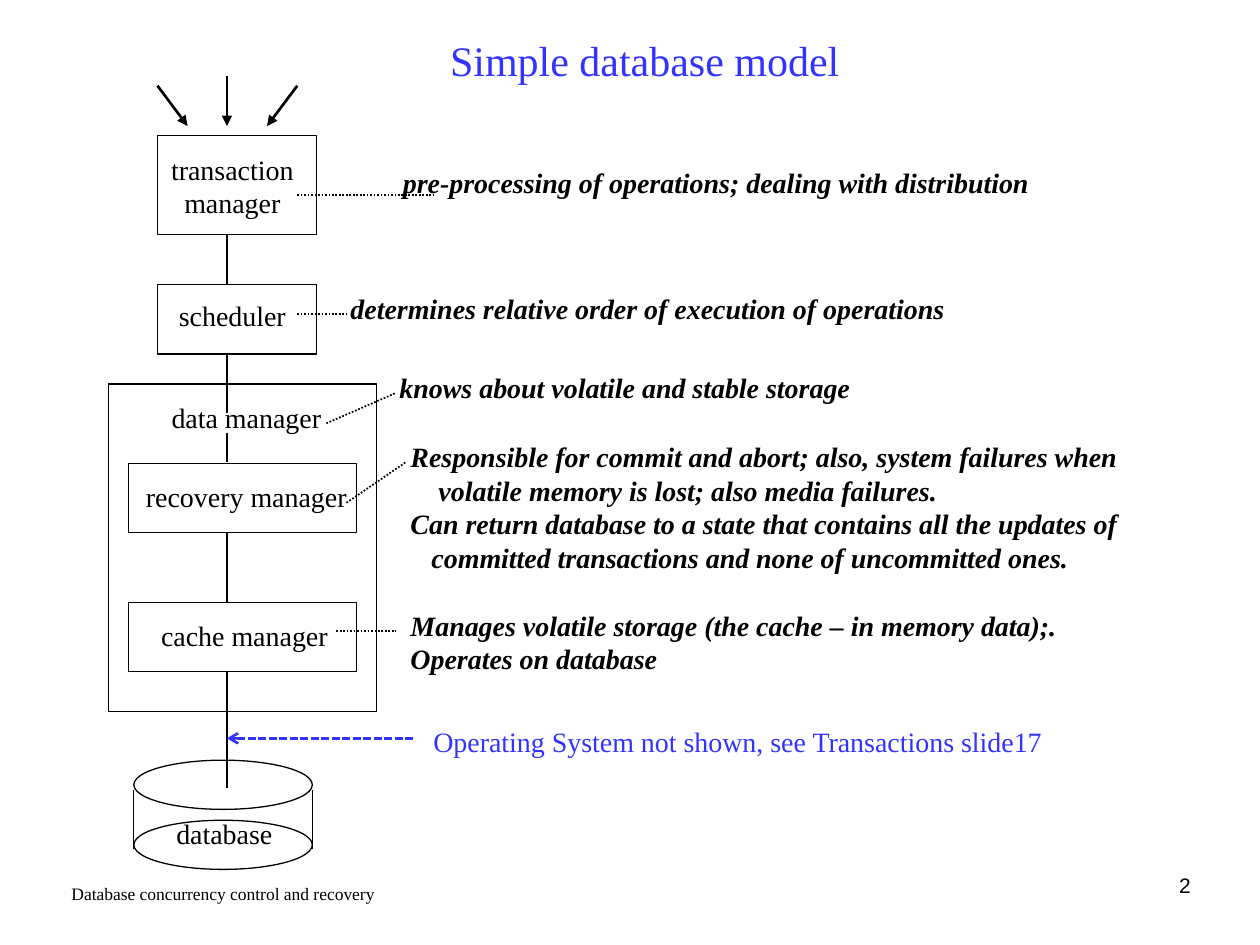
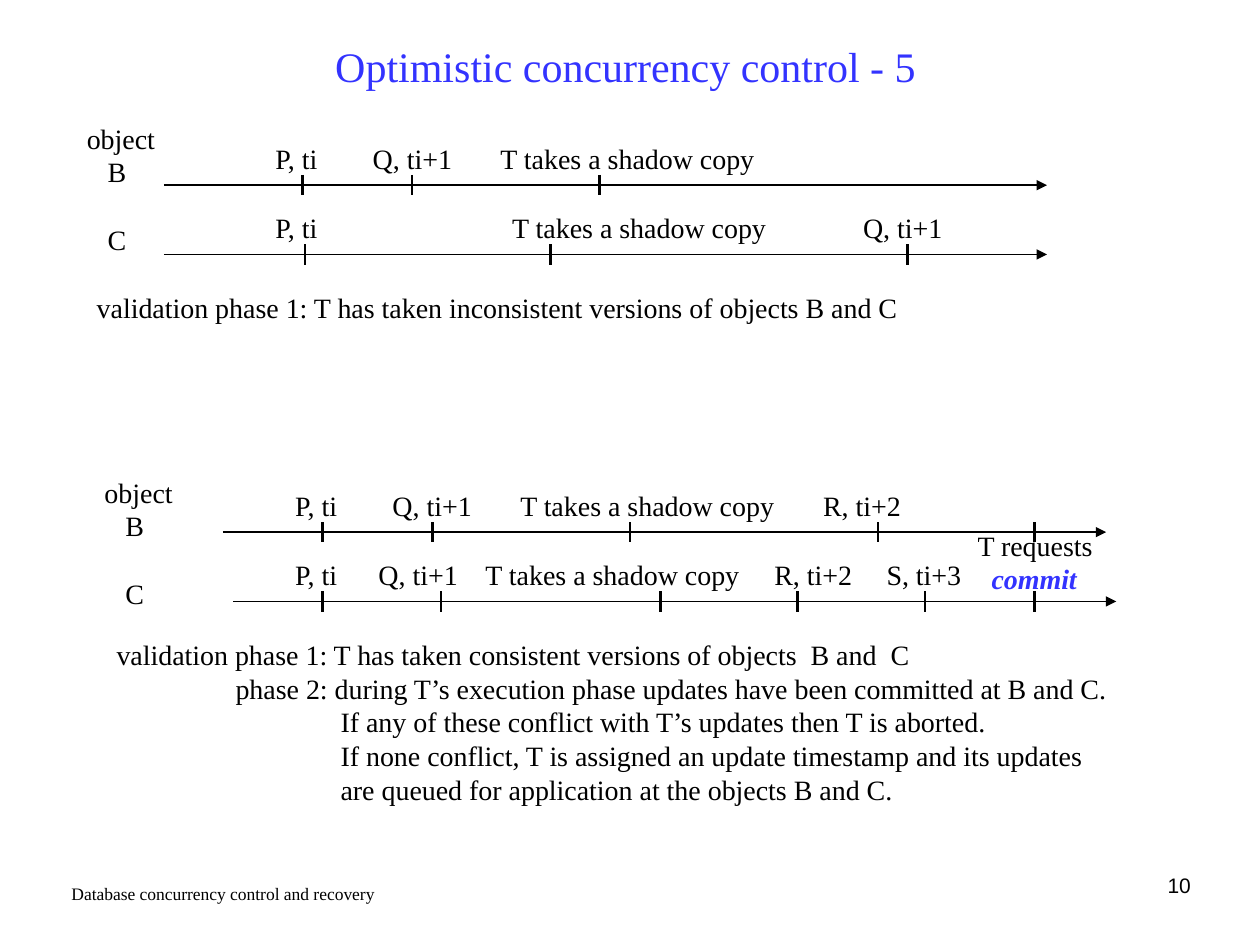
"""Build two slides on database concurrency control and recovery."""
import pptx
import pptx.dml.color
import pptx.enum.dml
import pptx.enum.shapes
import pptx.enum.text
import pptx.oxml.ns
import pptx.util
from lxml import etree

Pt = pptx.util.Pt
HUES = {"ink": "000000", "blue": "3333FF"}
FACE = "Times New Roman"
ALIGN = pptx.enum.text.PP_ALIGN
DASH = pptx.enum.dml.MSO_LINE
SHAPE = pptx.enum.shapes.MSO_SHAPE
SPAN = 504.7
ROW = 39.6


def tint(hue):
    """Return the named colour."""
    return pptx.dml.color.RGBColor.from_string(HUES[hue])


def node(parent, tag, **marks):
    """Append a drawing element with its attributes."""
    return etree.SubElement(parent, pptx.oxml.ns.qn(tag), **marks)


def fill(para, words, size=16, face=FACE, hue="ink", bold=False, slant=False,
         align=ALIGN.LEFT, dent=0, gap=0, lead=None):
    """Write words into a paragraph with the given format."""
    para.alignment = align
    para.space_before = Pt(gap)
    if lead:
        para.line_spacing = lead
    props = para._p.get_or_add_pPr()
    props.set("marL", str(Pt(dent)))
    props.set("indent", "0")
    run = para.add_run()
    run.text = words
    font = run.font
    font.name, font.size, font.bold, font.italic = face, Pt(size), bold, slant
    font.color.rgb = tint(hue)


def text(page, at, *lines, mid=False, **form):
    """Add a text box; a line is a string or a dict that overrides the format."""
    frame = page.shapes.add_textbox(*map(Pt, at)).text_frame
    frame.word_wrap = True
    if mid:
        frame.vertical_anchor = pptx.enum.text.MSO_ANCHOR.MIDDLE
    for spot, line in enumerate(lines):
        para = frame.add_paragraph() if spot else frame.paragraphs[0]
        own = line if isinstance(line, dict) else {"words": line}
        fill(para, **{**form, **own})


def label(page, mid, top, *lines):
    """Add text centred on a given x."""
    text(page, (mid - 75, top, 150, 26.6 * len(lines)), *lines, align=ALIGN.CENTER)


def note(page, left, top, *lines, **form):
    """Add a bold italic remark."""
    text(page, (left, top, 460, 19.4 * len(lines) + 7.2), *lines,
         bold=True, slant=True, **form)


def form(page, kind, at):
    """Add an unfilled shape with a thin outline."""
    shape = page.shapes.add_shape(kind, *map(Pt, at))
    shape.shadow.inherit = False
    shape.fill.background()
    shape.line.color.rgb = tint("ink")
    shape.line.width = Pt(0.75)


def line(page, start, end, width=1.5, hue="ink", dash=None, tip=None):
    """Add a straight line with an optional arrowhead at its end."""
    kind = pptx.enum.shapes.MSO_CONNECTOR.STRAIGHT
    link = page.shapes.add_connector(kind, *map(Pt, start + end))
    link.line.color.rgb = tint(hue)
    link.line.width = Pt(width)
    if dash:
        link.line.dash_style = dash
    if tip:
        node(link.line._get_or_add_ln(), "a:tailEnd", type=tip)
    node(link._element.spPr, "a:effectLst")


def start(deck, title, at, count):
    """Add a blank slide with title, footer and number."""
    page = deck.slides.add_slide(deck.slide_layouts[6])
    text(page, at, title, size=24, hue="blue", align=ALIGN.CENTER, mid=True)
    text(page, (33.8, 500.8, 230.4, 25.9),
         "Database concurrency control and recovery", size=10)
    text(page, (517.7, 495.1, 169.9, 25.9), str(count),
         size=12, face="Arial", align=ALIGN.RIGHT)
    return page


def drum(page, left, top, width, high, drop):
    """Draw the database cylinder."""
    for shift in (0, drop):
        form(page, SHAPE.OVAL, (left, top + shift, width, high))
    for side in (left, left + width):
        line(page, (side, top + 17.3), (side, top + drop + 16.6), width=0.75)


def model(deck):
    """Build the slide on the database model."""
    page = start(deck, "Simple database model", (44.5, 11.5, 648, 45.4), 2)
    stem = 129.7
    for at in ((90, 77.5, 90.8, 56.7), (90, 162.7, 90.8, 39.6),
               (61.9, 219.5, 153.4, 187.2), (73.4, 264.8, 130.5, 39.6),
               (73.4, 344.3, 130.5, 39.6)):
        form(page, SHAPE.RECTANGLE, at)
    drum(page, 76.5, 434.4, 102, 28.1, 34.3)

    for foot, head in ((107.2, 90), (stem, stem), (152.6, 169.9)):
        high = 43.2 if head == stem else 49
        line(page, (head, high), (foot, 72), tip="triangle")
    for top, end in ((134, 162.7), (202.3, 236.2), (247.7, 264.3),
                     (304.6, 344.2), (383.8, 450)):
        line(page, (stem, top), (stem, end))

    label(page, 132.8, 83.5, "transaction", "manager")
    label(page, 132.8, 166.8, "scheduler")
    label(page, 140.8, 225.4, "data manager")
    label(page, 140.8, 270.7, "recovery manager")
    label(page, 139.7, 350, "cache manager")
    label(page, 128.2, 463, "database")

    note(page, 223.2, 94.6,
         "pre-processing of operations; dealing with distribution", lead=0.8)
    note(page, 193.2, 163, "determines relative order of execution of operations")
    note(page, 221.2, 208.1, "knows about volatile and stable storage")
    note(page, 227.5, 247.7,
         "Responsible for commit and abort; also, system failures when",
         {"words": "volatile memory is lost; also media failures.", "dent": 16},
         "Can return database to a state that contains all the updates of",
         {"words": "committed transactions and none of uncommitted ones.", "dent": 12})
    note(page, 227.5, 344,
         "Manages volatile storage (the cache – in memory data);.",
         "Operates on database")
    for near, far in (((169.9, 111.6), (249.1, 111.6)), ((169.9, 179.3), (198, 179.3)),
                      ((186.5, 241.9), (226.1, 224.6)), ((198, 287.3), (231.8, 264.2)),
                      ((192.2, 360.7), (226.1, 360.7))):
        line(page, near, far, width=1, dash=DASH.ROUND_DOT)

    text(page, (240.5, 410.4, 400, 26.6),
         "Operating System not shown, see Transactions slide17", hue="blue")
    line(page, (236.2, 421.9), (stem, 421.9), hue="blue",
         dash=DASH.SQUARE_DOT, tip="arrow")


def track(page, left, high, events, ticks):
    """Draw a time line with its events, given as text by left edge, and ticks."""
    line(page, (left, high), (left + SPAN, high), width=0.75, tip="triangle")
    for edge, words in events.items():
        text(page, (edge, high - 28.4, 170, 26.6), words)
    for tick in ticks:
        line(page, (tick, high - 5.8), (tick, high + 5.8))


def names(page, left, top):
    """List the objects beside a pair of time lines."""
    text(page, (left, top, 60, 84.2), "object", {"words": "B", "dent": 12},
         {"words": "C", "dent": 12, "gap": 19.2})


def control(deck):
    """Build the slide on optimistic concurrency control."""
    page = start(deck, "Optimistic concurrency control - 5",
                 (31, 20.5, 653, 33.8), 10)
    first, next_, copy = "P, ti", "Q, ti+1", "T takes a shadow copy"
    third, fourth = "R, ti+2", "S, ti+3"

    names(page, 42.5, 65.8)
    high = 105.8
    track(page, 93.6, high, {150.3: first, 205.9: next_, 278.9: copy},
          (172.8, 235.4, 342.7))
    track(page, 93.6, high + ROW, {150.3: first, 285.6: copy, 486.1: next_},
          (174.2, 314.6, 518.4))
    text(page, (48.2, 162.3, 589.7, 26.6),
         "validation phase 1: T has taken inconsistent versions of objects B and C")

    names(page, 52.6, 268.1)
    high = 304.1
    track(page, 127.4, high,
          {161.6: first, 217.2: next_, 290.2: copy, 463.2: third},
          (184.3, 247, 360, 501.8, 591.1))
    track(page, 133.2, high + ROW,
          {161.6: first, 209.2: next_, 270.3: copy, 435.4: third, 499.5: fourth},
          (184.3, 252, 377.3, 455.8, 528.5, 591.1))
    text(page, (551.5, 298.3, 90, 46.1), "T requests",
         {"words": "commit", "dent": 8, "hue": "blue", "bold": True, "slant": True})
    text(page, (59.5, 360.9, 600, 103.7),
         "validation phase 1: T has taken consistent versions of objects  B and  C",
         {"words": "phase 2: during T’s execution phase updates have been "
                   "committed at B and C.", "dent": 68},
         *({"words": words, "dent": 128} for words in (
             "If any of these conflict with T’s updates then T is aborted.",
             "If none conflict, T is assigned an update timestamp and its updates",
             "are queued for application at the objects B and C.")))


def main():
    """Build and save the deck."""
    deck = pptx.Presentation()
    deck.slide_width, deck.slide_height = Pt(720), Pt(540)
    model(deck)
    control(deck)
    deck.save("out.pptx")


if __name__ == "__main__":
    main()
